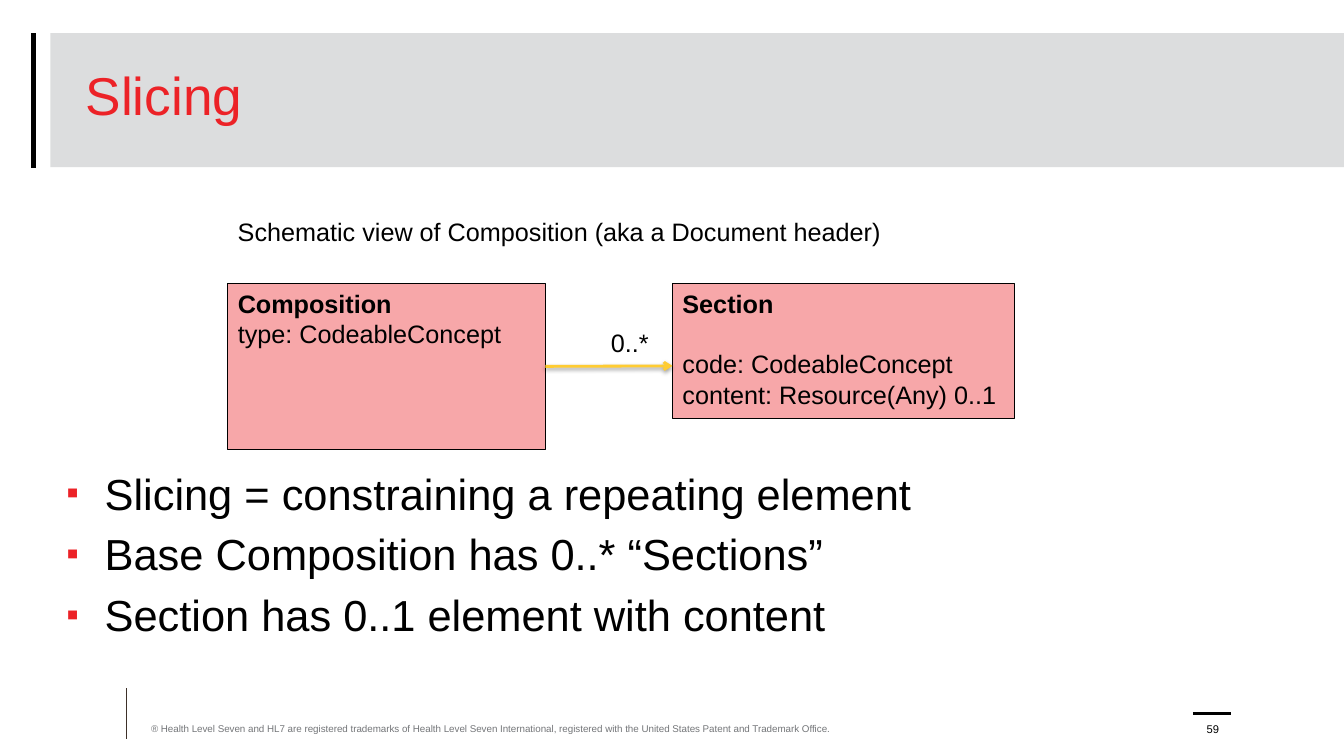
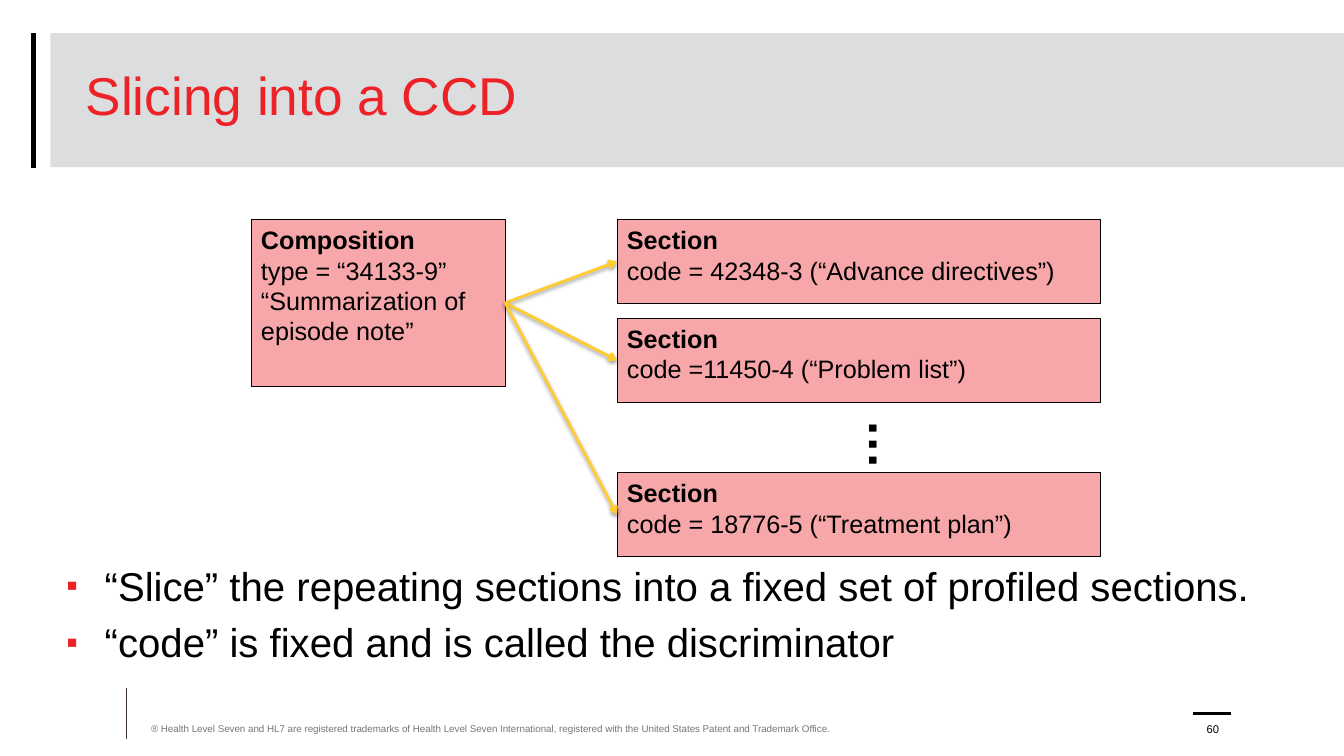
"""Build two slides that explain slicing of a Composition."""
import pptx
import pptx.util
import pptx.dml.color
import pptx.enum.shapes
import pptx.enum.text
import pptx.oxml
import pptx.oxml.ns

PX = 9144
NS = pptx.oxml.ns.nsdecls("a")
ANCHOR = pptx.enum.text.MSO_ANCHOR
ALIGN = pptx.enum.text.PP_ALIGN


class Theme:
    font = "Arial"
    black = "000000"
    red = "EC2227"
    pink = "F7A7A9"
    band = "BABCBE"
    gold = "FFCC32"
    brown = "3D3029"
    gray = "747679"
    title = 38
    label = 18
    dots = 36
    legal = 7
    number = 8


def text(page, box, lines, size=Theme.label, color=Theme.black, fill=None, edge=None,
         alpha=None, head=False, bullet=False, anchor=ANCHOR.TOP, align=ALIGN.LEFT,
         pitch=None, wrap=True, gaps=None, vert=None):
    place = [n * PX for n in box]
    if fill:
        shape = page.shapes.add_shape(pptx.enum.shapes.MSO_SHAPE.RECTANGLE, *place)
        shape.shadow.inherit = False
        shape.fill.solid()
        shape.fill.fore_color.rgb = pptx.dml.color.RGBColor.from_string(fill)
        if alpha:
            tint = shape.element.spPr.find(".//" + pptx.oxml.ns.qn("a:srgbClr"))
            tint.append(pptx.oxml.parse_xml(f'<a:alpha {NS} val="{alpha * 1000}"/>'))
        if edge:
            shape.line.color.rgb = pptx.dml.color.RGBColor.from_string(edge)
            shape.line.width = pptx.util.Pt(0.75)
        else:
            shape.line.fill.background()
    else:
        shape = page.shapes.add_textbox(*place)
    frame = shape.text_frame
    frame.word_wrap = wrap
    frame.vertical_anchor = anchor
    if not wrap:
        frame.auto_size = pptx.enum.text.MSO_AUTO_SIZE.SHAPE_TO_FIT_TEXT
    if vert:
        shape.element.txBody.bodyPr.set("vert", vert)
    for i, words in enumerate(lines):
        para = frame.add_paragraph() if i else frame.paragraphs[0]
        para.alignment = align
        if bullet:
            props = para._p.get_or_add_pPr()
            props.set("marL", str(38 * PX))
            props.set("indent", str(-38 * PX))
            for mark in (f'<a:buClr {NS}><a:srgbClr val="{Theme.red}"/></a:buClr>',
                         f'<a:buSzPct {NS} val="82000"/>',
                         f'<a:buFont {NS} typeface="{Theme.font}"/>',
                         f'<a:buChar {NS} char="▪"/>'):
                props.append(pptx.oxml.parse_xml(mark))
            if i:
                para.space_before = pptx.util.Pt(size * 0.2)
        if gaps and i in gaps:
            para.space_before = pptx.util.Pt(gaps[i])
        if pitch:
            para.line_spacing = pitch
        run = para.add_run()
        run.text = words
        run.font.name = Theme.font
        run.font.size = pptx.util.Pt(size)
        run.font.bold = head and i == 0
        run.font.color.rgb = pptx.dml.color.RGBColor.from_string(color)
    return shape


def line(page, ends, color, width, arrow=False):
    link = page.shapes.add_connector(pptx.enum.shapes.MSO_CONNECTOR.STRAIGHT,
                                     *[n * PX for n in ends])
    link.line.color.rgb = pptx.dml.color.RGBColor.from_string(color)
    link.line.width = pptx.util.Pt(width)
    shade = ""
    if arrow:
        link.line._get_or_add_ln().append(
            pptx.oxml.parse_xml(f'<a:tailEnd {NS} type="arrow"/>'))
        shade = ('<a:outerShdw blurRad="39370" dist="20320" dir="5400000" rotWithShape="0">'
                 f'<a:srgbClr val="{Theme.black}"><a:alpha val="38000"/></a:srgbClr>'
                 '</a:outerShdw>')
    link.element.spPr.append(
        pptx.oxml.parse_xml(f"<a:effectLst {NS}>{shade}</a:effectLst>"))
    return link


deck = pptx.Presentation()
deck.slide_width = 1333 * PX
deck.slide_height = 750 * PX

legal = ("® Health Level Seven and HL7 are registered trademarks of Health Level Seven "
         "International, registered with the United States Patent and Trademark Office.")
plan = [
    ("59", "Slicing", 458, 31, [
        "Slicing = constraining a repeating element",
        "Base Composition has 0..* “Sections”",
        "Section has 0..1 element with content"]),
    ("60", "Slicing into a CCD", 552, 28.7, [
        "“Slice” the repeating sections into a fixed set of profiled sections.",
        "“code” is fixed and is called the discriminator"]),
]
pages = []
for number, title, top, size, points in plan:
    page = deck.slides.add_slide(deck.slide_layouts[6])
    line(page, (125, 683, 125, 733), Theme.brown, 0.5)
    text(page, (50, 33, 1283, 133), [], fill=Theme.band, alpha=50)
    line(page, (33, 33, 33, 167), Theme.black, 3.25)
    line(page, (1183, 708, 1221, 708), Theme.black, 2)
    text(page, (75, 33, 1189, 133), [title], size=Theme.title, color=Theme.red,
         anchor=ANCHOR.MIDDLE, pitch=0.8)
    text(page, (56, top, 1222, 683 - top), points, size=size, bullet=True)
    text(page, (140, 708, 710, 26), [legal], size=Theme.legal, color=Theme.gray,
         anchor=ANCHOR.BOTTOM)
    text(page, (1175, 708, 56, 27), [number], size=Theme.number,
         anchor=ANCHOR.BOTTOM, align=ALIGN.CENTER)
    pages.append(page)
base, sliced = pages
card = dict(fill=Theme.pink, edge=Theme.black, head=True)

whole = text(base, (226, 281, 315, 165), ["Composition", "type: CodeableConcept"], **card)
text(base, (667, 281, 339, 134),
     ["Section", "code: CodeableConcept", "content: Resource(Any) 0..1"],
     gaps={1: 21.7}, **card)
link = line(base, (541, 363, 667, 363), Theme.gold, 2, arrow=True)
link.begin_connect(whole, 3)
text(base, (596, 320, 58, 40), ["0..*"], wrap=False)
text(base, (226, 210, 756, 40), ["Schematic view of Composition (aka a Document header)"])

whole = text(sliced, (249, 218, 252, 165),
             ["Composition", "type = “34133-9” “Summarization of", "episode note”"], **card)
parts = [
    (218, "code = 42348-3 (“Advance directives”)"),
    (316, "code =11450-4 (“Problem list”)"),
    (469, "code = 18776-5 (“Treatment plan”)"),
]
for top, code in parts:
    part = text(sliced, (612, top, 480, 83), ["Section", code], **card)
    link = line(sliced, (501, 300, 612, top + 41), Theme.gold, 2, arrow=True)
    link.begin_connect(whole, 3)
    link.end_connect(part, 1)
text(sliced, (836, 406, 81, 61), ["…"], size=Theme.dots, head=True, wrap=False, vert="eaVert")

deck.save("out.pptx")
